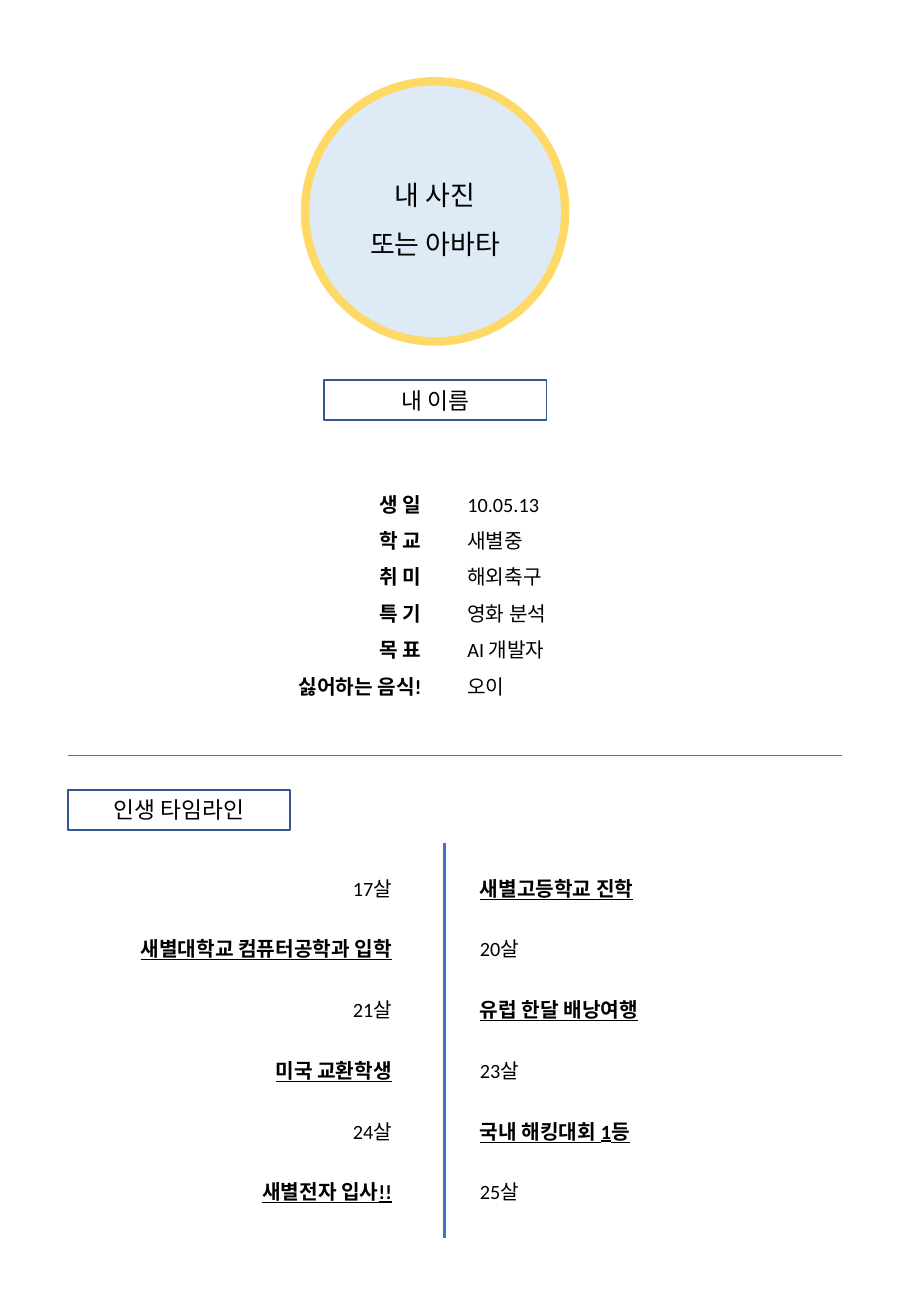
import itertools
import pptx
import pptx.dml.color
import pptx.enum.shapes
import pptx.enum.text
import pptx.oxml.ns
import pptx.util
from lxml import etree

Cm, Pt = pptx.util.Cm, pptx.util.Pt
Align = pptx.enum.text.PP_ALIGN
Shape = pptx.enum.shapes.MSO_SHAPE
hues = {"text": "000000", "disc": "DEEBF7", "ring": "FFD966",
        "frame": "325491", "rule": "4472C4"}


def hue(name):
    return pptx.dml.color.RGBColor.from_string(hues[name])


def write(box, text, size=12, align=Align.LEFT, space=1.0, bold=(False,),
          under=(False,), wrap=True, mid=True):
    """Fill a shape with lines; bold and under repeat down the lines."""
    frame = box.text_frame
    frame.text = text
    frame.word_wrap = wrap
    frame.auto_size = pptx.enum.text.MSO_AUTO_SIZE.NONE
    anchor = pptx.enum.text.MSO_ANCHOR
    frame.vertical_anchor = anchor.MIDDLE if mid else anchor.TOP
    marks = zip(frame.paragraphs, itertools.cycle(bold), itertools.cycle(under))
    for para, heavy, lined in marks:
        para.alignment, para.line_spacing = align, space
        para.space_before = para.space_after = Pt(0)
        props = para._p.get_or_add_pPr()
        props.set("marL", "0")
        props.set("indent", "0")
        etree.SubElement(props, pptx.oxml.ns.qn("a:buNone"))
        font = para.runs[0].font
        font.name, font.size = "Calibri", Pt(size)
        font.bold, font.underline = heavy, lined
        font.color.rgb = hue("text")


deck = pptx.Presentation()
deck.slide_width, deck.slide_height = Cm(19.05), Cm(27.51)
# The comparison layout has a title and four lists
page = deck.slides.add_slide(deck.slide_layouts[4])
items = page.shapes

# Portrait disc
disc = items.add_shape(Shape.OVAL, Cm(6.38), Cm(1.7), Cm(5.44), Cm(5.44))
disc.shadow.inherit = False
disc.fill.solid()
disc.fill.fore_color.rgb = hue("disc")
disc.line.color.rgb = hue("ring")
disc.line.width = Pt(5)
write(disc, "내 사진\n또는 아바타", size=16, align=Align.CENTER, space=1.5)

# Framed headings: the name is the title
head = items.add_shape(Shape.RECTANGLE, 0, 0, Cm(1), Cm(1))
head.shadow.inherit = False
for box, text, left, top in ((items.title, "내 이름", 6.78, 7.94),
                             (head, "인생 타임라인", 1.42, 16.51)):
    box.left, box.top, box.width, box.height = Cm(left), Cm(top), Cm(4.65), Cm(0.84)
    box.fill.background()
    box.line.color.rgb = hue("frame")
    box.line.width = Pt(1)
    write(box, text, size=13.5, align=Align.CENTER)

# Profile and timeline lists; ages and events swap sides on each row
labels = "생 일\n학 교\n취 미\n특 기\n목 표\n싫어하는 음식!"
facts = "10.05.13\n새별중\n해외축구\n영화 분석\nAI 개발자\n오이"
west = "17살\n새별대학교 컴퓨터공학과 입학\n21살\n미국 교환학생\n24살\n새별전자 입사!!"
east = "새별고등학교 진학\n20살\n유럽 한달 배낭여행\n23살\n국내 해킹대회 1등\n25살"
no, odd, even = (False,), (False, True), (True, False)
lists = (
    (1, labels, (5.77, 9.9, 3.3, 4.8), Align.RIGHT, 1.5, (True,), no),
    (2, facts, (9.52, 9.9, 2.31, 4.8), Align.LEFT, 1.5, no, no),
    (3, west, (2.18, 17.42, 6.27, 7.75), Align.RIGHT, 2.5, odd, odd),
    (4, east, (9.78, 17.42, 4.14, 7.75), Align.LEFT, 2.5, even, even),
)
slots = {slot.placeholder_format.idx: slot for slot in page.placeholders}
for idx, text, area, align, space, bold, under in lists:
    box = slots[idx]
    box.left, box.top, box.width, box.height = map(Cm, area)
    write(box, text, align=align, space=space, bold=bold, under=under,
          wrap=False, mid=False)

# Divider and timeline axis
for x1, y1, x2, y2, width in ((1.42, 15.8, 17.6, 15.8, 0.5),
                              (9.3, 17.63, 9.3, 25.88, 2)):
    rule = items.add_connector(pptx.enum.shapes.MSO_CONNECTOR.STRAIGHT,
                               Cm(x1), Cm(y1), Cm(x2), Cm(y2))
    rule.line.color.rgb = hue("rule")
    rule.line.width = Pt(width)
    etree.SubElement(rule._element.spPr, pptx.oxml.ns.qn("a:effectLst"))

deck.save("out.pptx")
